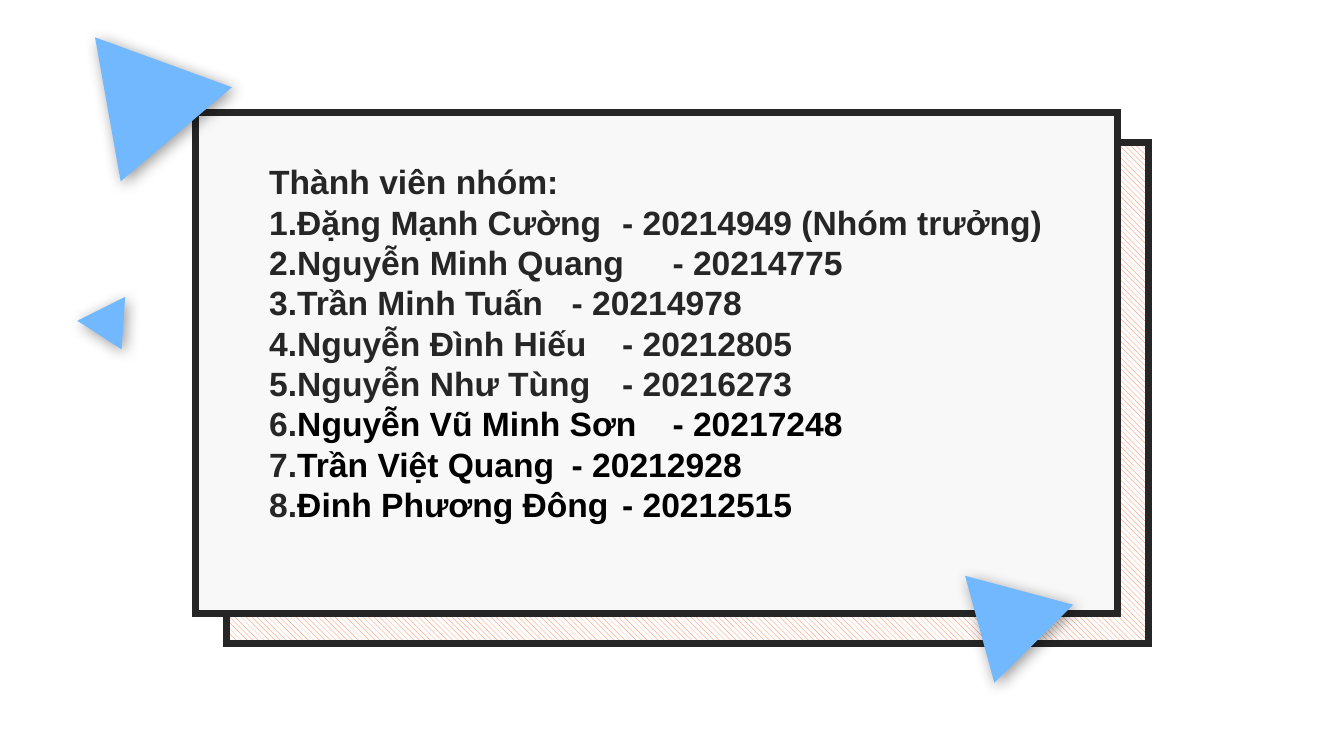
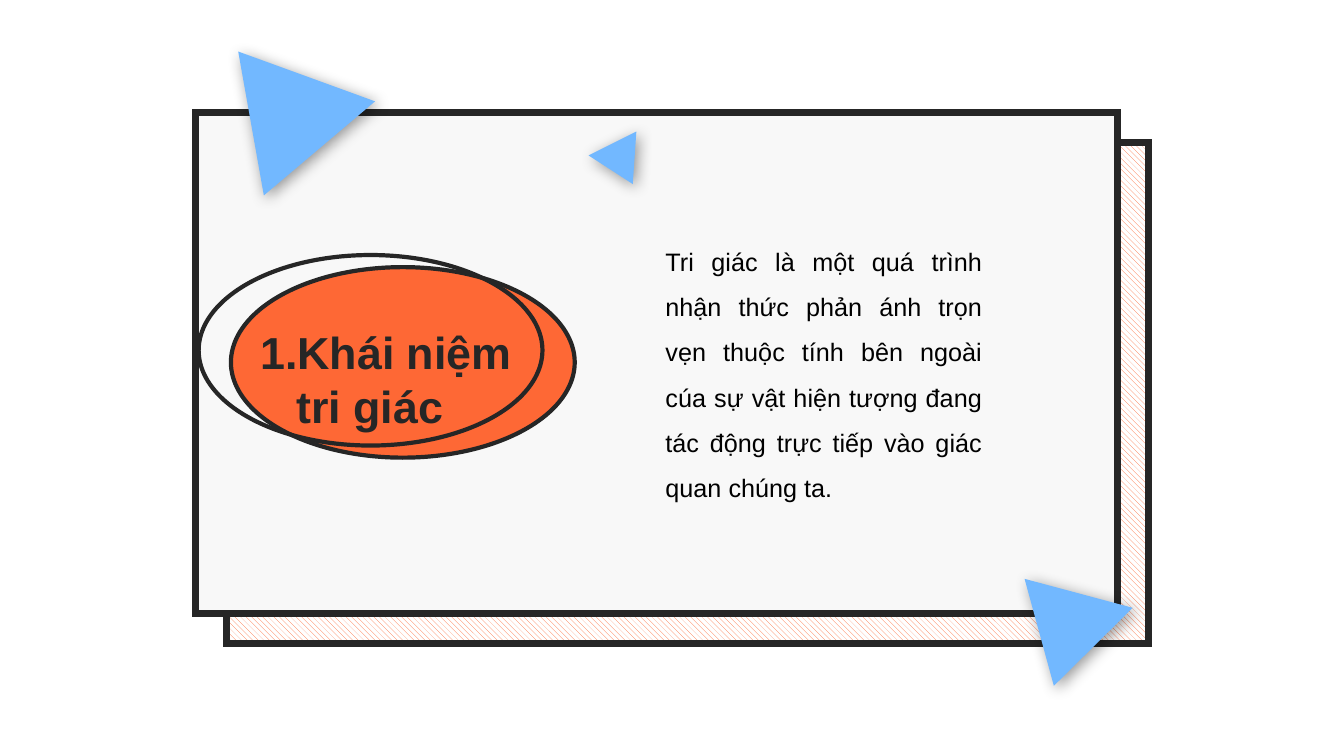
from lxml import etree
from pptx import Presentation
from pptx.dml.color import RGBColor
from pptx.enum.dml import MSO_PATTERN
from pptx.enum.shapes import MSO_SHAPE
from pptx.enum.text import MSO_ANCHOR, MSO_AUTO_SIZE, PP_ALIGN
from pptx.oxml.ns import qn
from pptx.util import Inches, Pt

RECTANGLE, ELLIPSE = MSO_SHAPE.RECTANGLE, MSO_SHAPE.OVAL
TRIANGLE = MSO_SHAPE.ISOSCELES_TRIANGLE
STRIPES = MSO_PATTERN.WIDE_DOWNWARD_DIAGONAL
TOP, NO_AUTOFIT = MSO_ANCHOR.TOP, MSO_AUTO_SIZE.NONE
LEFT, JUSTIFY = PP_ALIGN.LEFT, PP_ALIGN.JUSTIFY

INK, BLACK, WHITE = "262626", "000000", "FFFFFF"
ORANGE, BLUE, PAPER = "FE6835", "72B8FF", "F8F8F8"
FONT = "Arial"
TITLE_AND_BODY = 1
CODE_TAB = 4.0

MEMBERS = [
    ("Đặng Mạnh Cường", "20214949 (Nhóm trưởng)", INK),
    ("Nguyễn Minh Quang", "20214775", INK),
    ("Trần Minh Tuấn", "20214978", INK),
    ("Nguyễn Đình Hiếu", "20212805", INK),
    ("Nguyễn Như Tùng", "20216273", INK),
    ("Nguyễn Vũ Minh Sơn", "20217248", BLACK),
    ("Trần Việt Quang", "20212928", BLACK),
    ("Đinh Phương Đông", "20212515", BLACK),
]
DEFINITION = (
    "Tri giác là một quá trình nhận thức phản ánh trọn vẹn thuộc tính bên ngoài "
    "cúa sự vật hiện tượng đang tác động trực tiếp vào giác quan chúng ta."
)
# width, height, rotation of the three decorative triangles
TRIANGLES = [(1.45, 1.25, 79.9), (0.53, 0.45, 153.4), (1.11, 0.95, 195)]
# left, top of each triangle, slide by slide
TRIANGLE_PLACES = [
    [(0.96, 0.35), (0.84, 3.04), (9.43, 5.84)],
    [(2.38, 0.49), (5.91, 1.4), (10.02, 5.87)],
]


def rgb(value):
    return RGBColor.from_string(value)


def write(placeholder, box, lines, size, color, bold, align, margins=True, spacing=1.0):
    """Bring a placeholder to the front, place it and fill it with plain paragraphs.

    Each line is a list of (text, color) runs.
    """
    placeholder.left, placeholder.top, placeholder.width, placeholder.height = map(Inches, box)
    placeholder.element.getparent().append(placeholder.element)
    frame = placeholder.text_frame
    frame.word_wrap, frame.auto_size, frame.vertical_anchor = True, NO_AUTOFIT, TOP
    if not margins:
        frame.margin_left = frame.margin_right = frame.margin_top = frame.margin_bottom = 0
    for number, line in enumerate(lines):
        paragraph = frame.add_paragraph() if number else frame.paragraphs[0]
        properties = paragraph._p.get_or_add_pPr()
        properties.set("marL", "0")
        properties.set("indent", "0")
        etree.SubElement(properties, qn("a:buNone"))
        tabs = etree.SubElement(properties, qn("a:tabLst"))
        etree.SubElement(tabs, qn("a:tab"), pos=str(Inches(CODE_TAB)), algn="l")
        paragraph.alignment, paragraph.line_spacing = align, spacing
        paragraph.space_before = paragraph.space_after = Pt(0)
        font = paragraph.font
        font.name, font.size, font.bold = FONT, Pt(size), bold
        font.color.rgb = rgb(color)
        for text, run_color in line:
            run = paragraph.add_run()
            run.text = text
            if run_color != color:
                run.font.color.rgb = rgb(run_color)


presentation = Presentation()
presentation.slide_width, presentation.slide_height = Inches(13.33), Inches(7.5)
layout = presentation.slide_layouts[TITLE_AND_BODY]

# Card and triangles on both slides
slides = []
for places in TRIANGLE_PLACES:
    slide = presentation.slides.add_slide(layout)
    slides.append(slide)
    card = slide.shapes.add_group_shape()
    for left, top in [(2.25, 1.41), (1.94, 1.12)]:
        panel = card.shapes.add_shape(
            RECTANGLE, Inches(left), Inches(top), Inches(9.14), Inches(4.97))
        panel.shadow.inherit = False
        panel.line.color.rgb, panel.line.width = rgb(INK), Pt(5)
        etree.SubElement(panel.element.spPr.find(qn("a:ln")), qn("a:miter"), lim="800000")
        if left == 2.25:
            panel.fill.patterned()
            panel.fill.pattern = STRIPES
            panel.fill.fore_color.rgb, panel.fill.back_color.rgb = rgb(ORANGE), rgb(WHITE)
        else:
            panel.fill.solid()
            panel.fill.fore_color.rgb = rgb(PAPER)
    for (left, top), (width, height, rotation) in zip(places, TRIANGLES):
        triangle = slide.shapes.add_shape(
            TRIANGLE, Inches(left), Inches(top), Inches(width), Inches(height))
        triangle.rotation = rotation
        triangle.fill.solid()
        triangle.fill.fore_color.rgb = rgb(BLUE)
        triangle.line.fill.background()
        triangle.shadow.inherit = False
        shadow = etree.SubElement(
            triangle.element.spPr.find(qn("a:effectLst")), qn("a:outerShdw"),
            blurRad=str(Pt(11)), dist=str(Pt(3)), dir="2700000", algn="tl", rotWithShape="0")
        shade = etree.SubElement(shadow, qn("a:srgbClr"), val=BLACK)
        etree.SubElement(shade, qn("a:alpha"), val="40000")

members_slide, concept_slide = slides

# Group members
write(members_slide.shapes.title, (2.67, 1.6, 8.24, 0.4),
      [[("Thành viên nhóm:", INK)]], 24, INK, True, LEFT, margins=False)
member_lines = [
    [(f"{number}.", INK), (f"{name}\t- {code}", color)]
    for number, (name, code, color) in enumerate(MEMBERS, 1)
]
write(members_slide.placeholders[1], (2.67, 2.0, 8.24, 3.24),
      member_lines, 24, INK, True, LEFT, margins=False)

# Concept: the title lies between the filled ellipse and the ring
for left, top, fill in [(2.29, 2.65, ORANGE), (1.97, 2.53, None)]:
    ellipse = concept_slide.shapes.add_shape(
        ELLIPSE, Inches(left), Inches(top), Inches(3.41), Inches(1.89))
    ellipse.shadow.inherit = False
    ellipse.line.color.rgb, ellipse.line.width = rgb(INK), Pt(3)
    if fill:
        ellipse.fill.solid()
        ellipse.fill.fore_color.rgb = rgb(fill)
        concept_title = concept_slide.shapes.title
        write(concept_title, (2.48, 3.17, 3.34, 1.18),
              [[("1.Khái niệm", INK)], [("tri giác", INK)]], 32, INK, True, LEFT)
        second_line = concept_title.text_frame.paragraphs[1]
        second_line._p.get_or_add_pPr().set("marL", str(Inches(0.36)))
    else:
        ellipse.fill.background()
write(concept_slide.placeholders[1], (6.5, 2.24, 3.34, 2.77),
      [[(DEFINITION, BLACK)]], 18, BLACK, False, JUSTIFY, spacing=1.5)

presentation.save("out.pptx")
